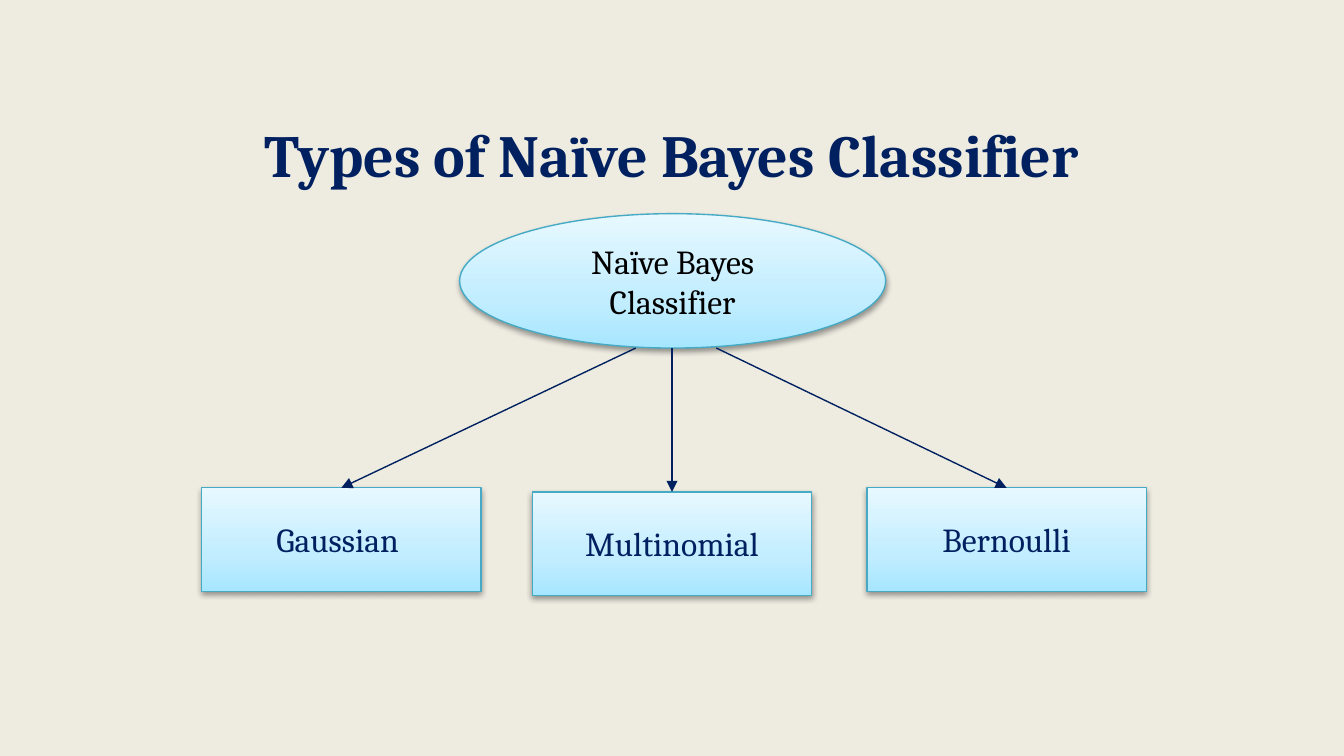
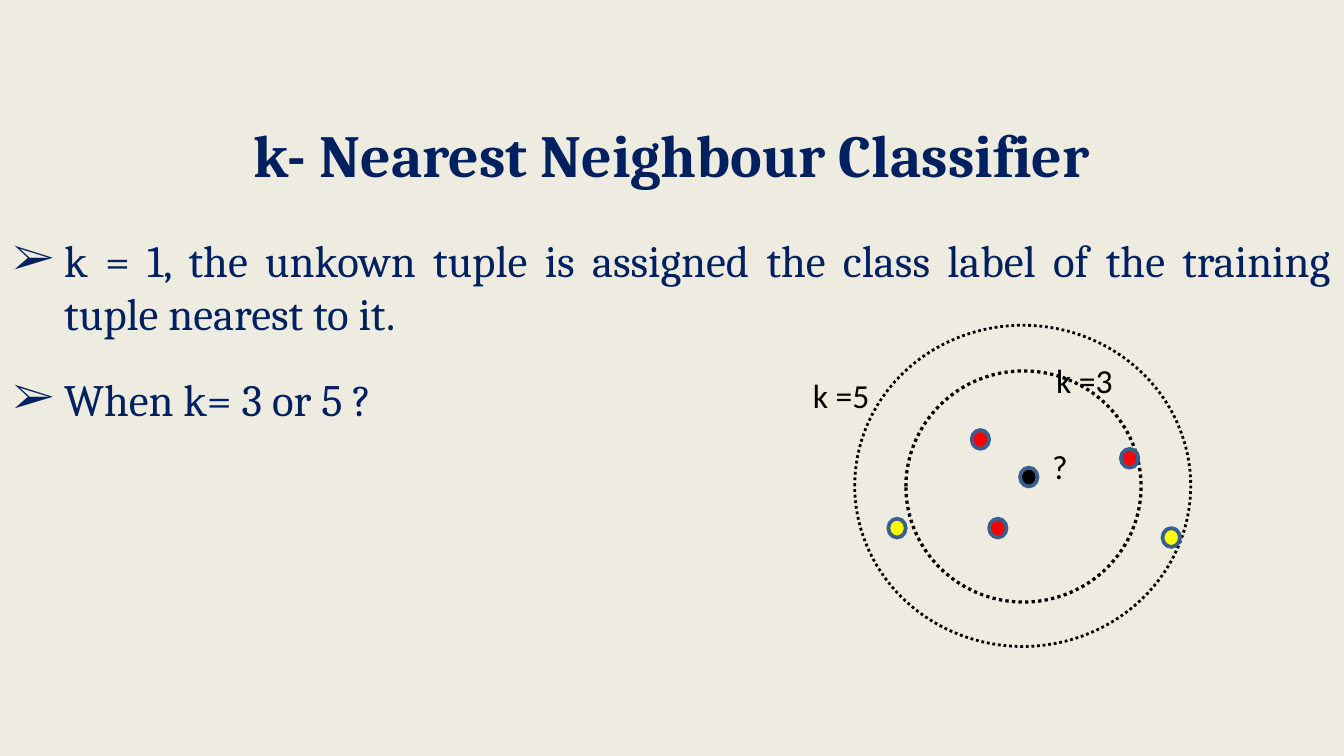
import copy

import pptx
import pptx.util
import pptx.dml.color
import pptx.enum.dml
import pptx.enum.shapes
import pptx.enum.text
import pptx.oxml
import pptx.oxml.ns

Inches, Pt = pptx.util.Inches, pptx.util.Pt
Shape = pptx.enum.shapes.MSO_SHAPE
Align = pptx.enum.text.PP_ALIGN
qn = pptx.oxml.ns.qn
NS = pptx.oxml.ns.nsdecls("a")

NAVY, BLACK, RED, YELLOW = "002060", "000000", "FF0000", "FFFF00"
SAND, TEAL, STEEL = "EEECE1", "46AAC5", "3A5F8C"
GRADE = [(0, "A7E6FF"), (0.35, "C1EDFF"), (1, "E7F8FF")]
SHADOW = (
    f'<a:effectLst {NS}><a:outerShdw blurRad="40000" dist="20000" dir="5400000" rotWithShape="0">'
    '<a:srgbClr val="000000"><a:alpha val="38000"/></a:srgbClr></a:outerShdw></a:effectLst>'
)


def rgb(code):
    return pptx.dml.color.RGBColor.from_string(code)


def style(para, size, font, code, align, bold=False):
    para.alignment = align
    for run in para.runs:
        run.font.size = Pt(size)
        run.font.name = font
        run.font.bold = bold
        run.font.color.rgb = rgb(code)


# Shared deck: 16:9 size, background, titles
prs = pptx.Presentation()
prs.slide_width = Inches(10)
prs.slide_height = prs.slide_width * 9 // 16
back = prs.slide_master.background.fill
back.solid()
back.fore_color.rgb = rgb(SAND)

slides = []
for head in ["Types of Naïve Bayes Classifier", "k- Nearest Neighbour Classifier"]:
    slide = prs.slides.add_slide(prs.slide_layouts[5])
    title = slide.shapes.title
    title.left, title.top = Inches(0), Inches(0.81)
    title.width, title.height = prs.slide_width, Inches(0.66)
    title.text_frame.text = head
    style(title.text_frame.paragraphs[0], 32, "Cambria", NAVY, Align.CENTER, True)
    slides.append(slide)
tree, near = slides

# Slide 1: root and three types
nodes = []
for kind, left, top, width, height, label, code in [
    (Shape.OVAL, 3.42, 1.59, 3.17, 1, "Naïve Bayes Classifier", BLACK),
    (Shape.RECTANGLE, 1.5, 3.63, 2.08, 0.77, "Gaussian ", NAVY),
    (Shape.RECTANGLE, 3.96, 3.66, 2.08, 0.77, "Multinomial", NAVY),
    (Shape.RECTANGLE, 6.45, 3.63, 2.08, 0.77, "Bernoulli", NAVY),
]:
    node = tree.shapes.add_shape(kind, Inches(left), Inches(top), Inches(width), Inches(height))
    node.fill.gradient()
    node.fill.gradient_angle = 90
    props = node._element.spPr
    stops = props.find(".//" + qn("a:gsLst"))
    stops.append(copy.deepcopy(stops[0]))
    for stop, (place, tint) in zip(node.fill.gradient_stops, GRADE):
        stop.position = place
        stop.color.rgb = rgb(tint)
    node.line.color.rgb = rgb(TEAL)
    node.line.width = Pt(0.75)
    props.append(pptx.oxml.parse_xml(SHADOW))
    node.text_frame.text = label
    style(node.text_frame.paragraphs[0], 18, "Cambria", code, Align.CENTER)
    nodes.append(node)

# Arrows from the root to each type
for box, start, weight in zip(nodes[1:], [4.73, 5, 5.33], [0.75, 1.5, 0.75]):
    arrow = tree.shapes.add_connector(
        pptx.enum.shapes.MSO_CONNECTOR.STRAIGHT,
        Inches(start), Inches(2.59), box.left + box.width // 2, box.top)
    arrow.end_connect(box, 0)
    arrow.line.color.rgb = rgb(NAVY)
    arrow.line.width = Pt(weight)
    arrow.line._get_or_add_ln().append(pptx.oxml.parse_xml(f'<a:tailEnd {NS} type="triangle"/>'))
    arrow._element.spPr.append(pptx.oxml.parse_xml(f"<a:effectLst {NS}/>"))

# Slide 2: bullets
body = near.shapes.add_textbox(Inches(0), Inches(1.68), Inches(10), Inches(3.25)).text_frame
body.word_wrap = True
body.text = (
    "k = 1, the unkown tuple is assigned the class label of the training tuple nearest to it.\n"
    "When k= 3 or 5 ?"
)
for para in body.paragraphs:
    style(para, 24, "Cambria", NAVY, Align.JUSTIFY)
    para.space_before, para.space_after = Pt(4.8), Pt(12)
    props = para._p.get_or_add_pPr()
    props.set("marL", str(Inches(0.38)))
    props.set("indent", str(-Inches(0.38)))
    props.append(pptx.oxml.parse_xml(f'<a:buFont {NS} typeface="Cambria"/>'))
    props.append(pptx.oxml.parse_xml(f'<a:buChar {NS} char="➢"/>'))

# Dotted rings around the unknown point
group = near.shapes.add_group_shape().shapes
for left, top, width, height, weight in [(6.36, 2.42, 2.5, 2.39, 1.5), (6.74, 2.76, 1.75, 1.72, 1.75)]:
    ring = group.add_shape(Shape.OVAL, Inches(left), Inches(top), Inches(width), Inches(height))
    ring.shadow.inherit = False
    ring.fill.background()
    ring.line.color.rgb = rgb(BLACK)
    ring.line.width = Pt(weight)
    ring.line.dash_style = pptx.enum.dml.MSO_LINE.ROUND_DOT

# Points
for left, top, code in [
    (7.59, 3.48, BLACK),
    (7.36, 3.86, RED), (8.34, 3.34, RED), (7.23, 3.2, RED),
    (6.61, 3.86, YELLOW), (8.65, 3.93, YELLOW),
]:
    dot = group.add_shape(Shape.OVAL, Inches(left), Inches(top), Inches(0.13), Inches(0.14))
    dot.shadow.inherit = False
    dot.fill.solid()
    dot.fill.fore_color.rgb = rgb(code)
    dot.line.color.rgb = rgb(STEEL)
    dot.line.width = Pt(2)

# Labels
for left, top, width, label in [
    (7.76, 2.63, 0.67, "k =3"), (5.95, 2.74, 0.67, "k =5"), (7.73, 3.27, 0.36, "?"),
]:
    frame = group.add_textbox(Inches(left), Inches(top), Inches(width), Inches(0.4)).text_frame
    frame.word_wrap = True
    frame.auto_size = pptx.enum.text.MSO_AUTO_SIZE.SHAPE_TO_FIT_TEXT
    frame.text = label
    style(frame.paragraphs[0], 18, "Calibri", BLACK, Align.LEFT)

prs.save("out.pptx")
